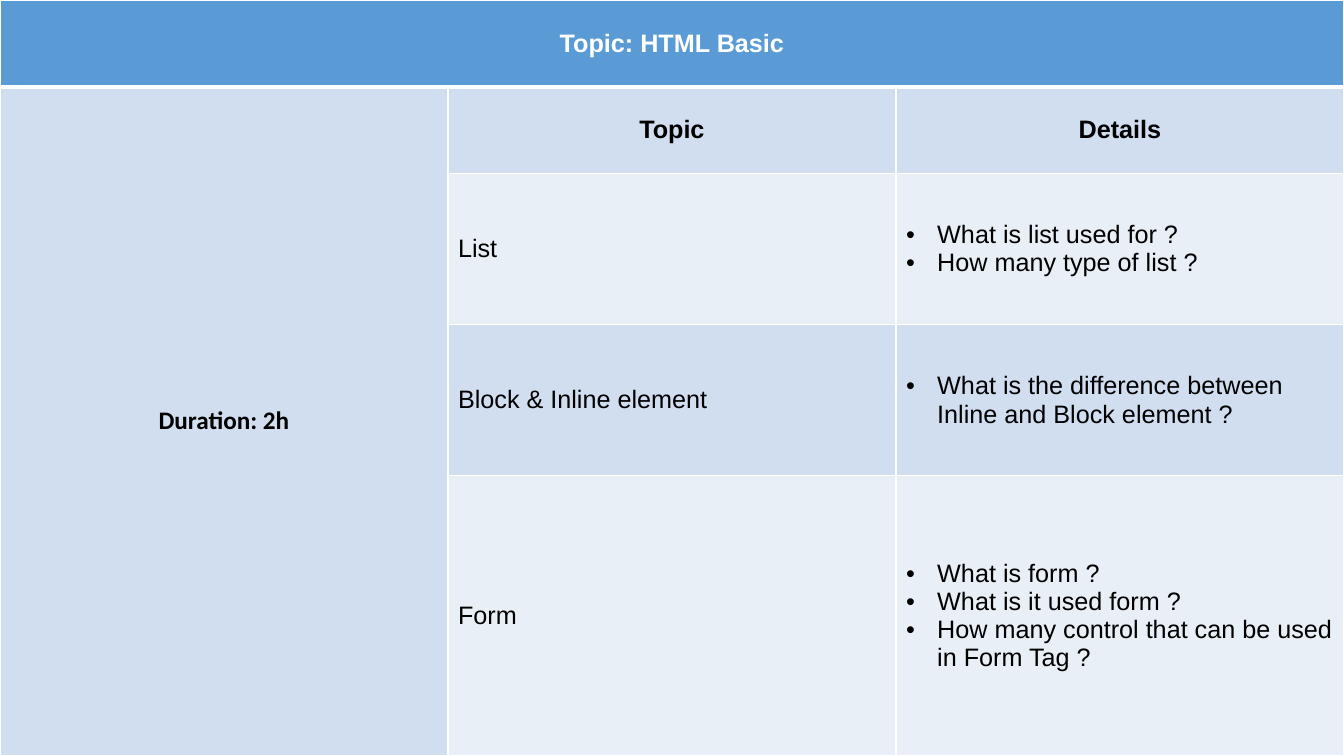
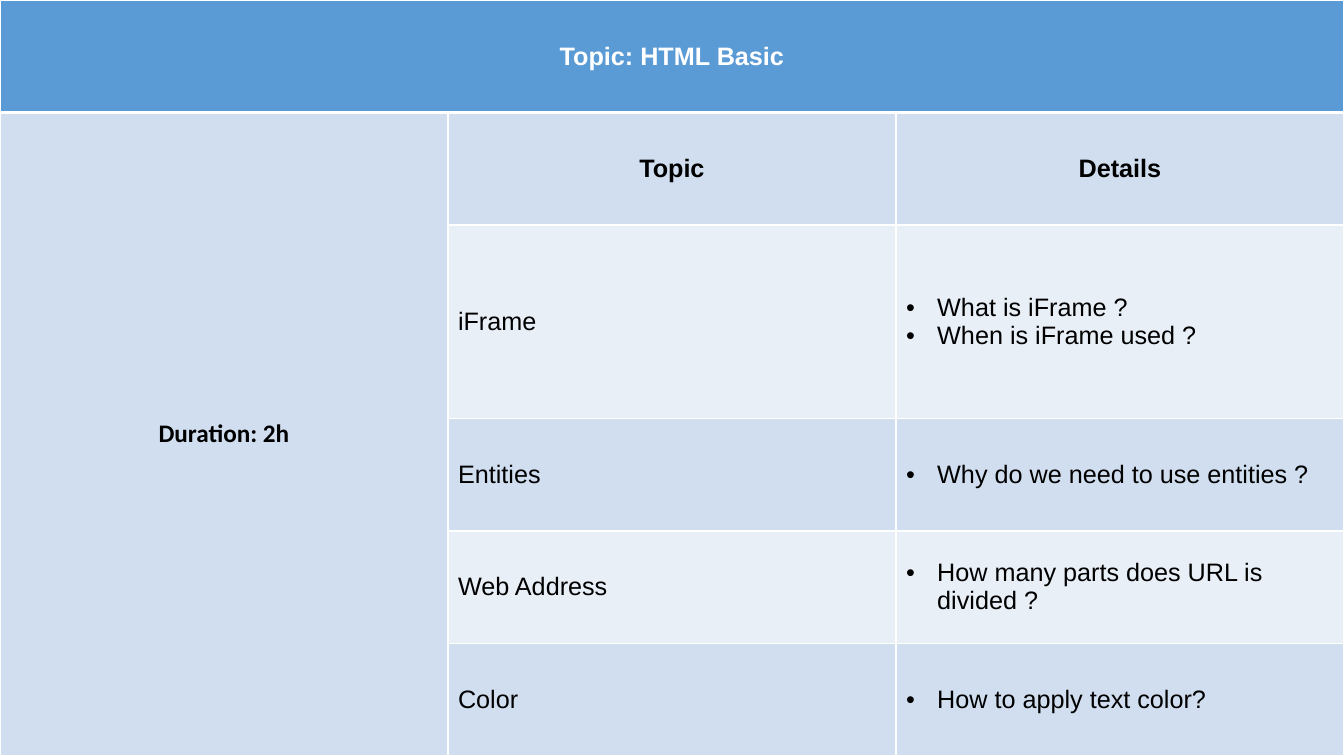
from dataclasses import dataclass

from pptx import Presentation
from pptx.dml.color import RGBColor
from pptx.enum.text import MSO_VERTICAL_ANCHOR as Anchor, PP_PARAGRAPH_ALIGNMENT as Align
from pptx.oxml.ns import qn
from pptx.util import Inches, Pt
from lxml.etree import SubElement, Element

WHITE = RGBColor(0xFF, 0xFF, 0xFF)
BLACK = RGBColor(0x00, 0x00, 0x00)
HEADER_BLUE = RGBColor(0x5B, 0x9B, 0xD5)
BANDS = (RGBColor(0xD0, 0xDE, 0xEF), RGBColor(0xE9, 0xEF, 0xF7))

SLIDE_WIDTH = Inches(40 / 3)
SLIDE_HEIGHT = Inches(7.5)
COLUMN_COUNT = 3
TEXT_SIZE = Pt(18)
BULLET_INDENT = Inches(0.31)
THIN, THICK = Pt(1), Pt(3)


@dataclass
class Topic:
    name: str
    questions: list
    height: float = None


LESSONS = [
    [
        Topic("List", ["What is list used for ?", "How many type of list ?"], 1.5),
        Topic("Block & Inline element",
              ["What is the difference between Inline and Block element ?"], 1.5),
        Topic("Form", ["What is form ?", "What is it used form ?",
                       "How many control that can be used in Form Tag ?"], 2.78),
    ],
    [
        Topic("iFrame", ["What is iFrame ?", "When is iFrame used ?"], 1.92),
        Topic("Entities", ["Why do we need to use entities ?"]),
        Topic("Web Address", ["How many parts does URL is divided ?"]),
        Topic("Color", ["How to apply text color?"]),
    ],
]


def row_heights(topics):
    fixed = [None, None] + [topic.height for topic in topics]
    known = [Inches(height) for height in fixed if height]
    shared = (SLIDE_HEIGHT - sum(known)) // (len(fixed) - len(known))
    return [Inches(height) if height else shared for height in fixed]


def add_border(cell, side, width):
    line = SubElement(cell._tc.get_or_add_tcPr(), qn(f"a:ln{side}"), w=str(width))
    fill = SubElement(line, qn("a:solidFill"))
    SubElement(fill, qn("a:srgbClr"), val=str(WHITE))


def style_cell(cell, row):
    below_header = THICK if row == 1 else THIN
    header_bottom = THICK if row == 0 else THIN
    for side, width in (("L", THIN), ("R", THIN), ("T", below_header), ("B", header_bottom)):
        add_border(cell, side, width)
    cell.fill.solid()
    cell.fill.fore_color.rgb = BANDS[(row - 1) % 2] if row else HEADER_BLUE
    cell.vertical_anchor = Anchor.MIDDLE


def add_bullet(paragraph):
    properties = paragraph._p.get_or_add_pPr()
    properties.set("marL", str(BULLET_INDENT))
    properties.set("indent", str(-BULLET_INDENT))
    color = SubElement(properties, qn("a:buClr"))
    SubElement(color, qn("a:srgbClr"), val=str(BLACK))
    SubElement(properties, qn("a:buFont"), typeface="Arial")
    SubElement(properties, qn("a:buChar"), char="•")


def write(cell, lines, heading=False, bullets=False, color=BLACK, font="Arial"):
    frame = cell.text_frame
    for index, line in enumerate(lines):
        paragraph = frame.add_paragraph() if index else frame.paragraphs[0]
        paragraph.alignment = Align.CENTER if heading else Align.LEFT
        if bullets:
            add_bullet(paragraph)
        run = paragraph.add_run()
        run.text = line
        run.font.name = font
        run.font.size = TEXT_SIZE
        run.font.bold = heading
        run.font.color.rgb = color


def add_lesson_table(slide, topics):
    heights = row_heights(topics)
    last_row = len(heights) - 1
    table = slide.shapes.add_table(len(heights), COLUMN_COUNT, 0, 0,
                                   SLIDE_WIDTH, SLIDE_HEIGHT).table
    table.first_row = False
    table.horz_banding = False
    for row, height in enumerate(heights):
        table.rows[row].height = height
        for column in range(COLUMN_COUNT):
            style_cell(table.cell(row, column), 1 if row and not column else row)

    title, duration = table.cell(0, 0), table.cell(1, 0)
    title.merge(table.cell(0, COLUMN_COUNT - 1))
    duration.merge(table.cell(last_row, 0))
    write(title, ["Topic: HTML Basic"], heading=True, color=WHITE)
    write(duration, ["Duration: 2h"], heading=True, font="Calibri")
    for column, label in enumerate(("Topic", "Details"), 1):
        write(table.cell(1, column), [label], heading=True)
    for row, topic in enumerate(topics, 2):
        write(table.cell(row, 1), [topic.name])
        write(table.cell(row, 2), topic.questions, bullets=True)


def main():
    deck = Presentation()
    deck.slide_width = SLIDE_WIDTH
    deck.slide_height = SLIDE_HEIGHT
    for topics in LESSONS:
        add_lesson_table(deck.slides.add_slide(deck.slide_layouts[6]), topics)
    deck.save("out.pptx")


if __name__ == "__main__":
    main()
